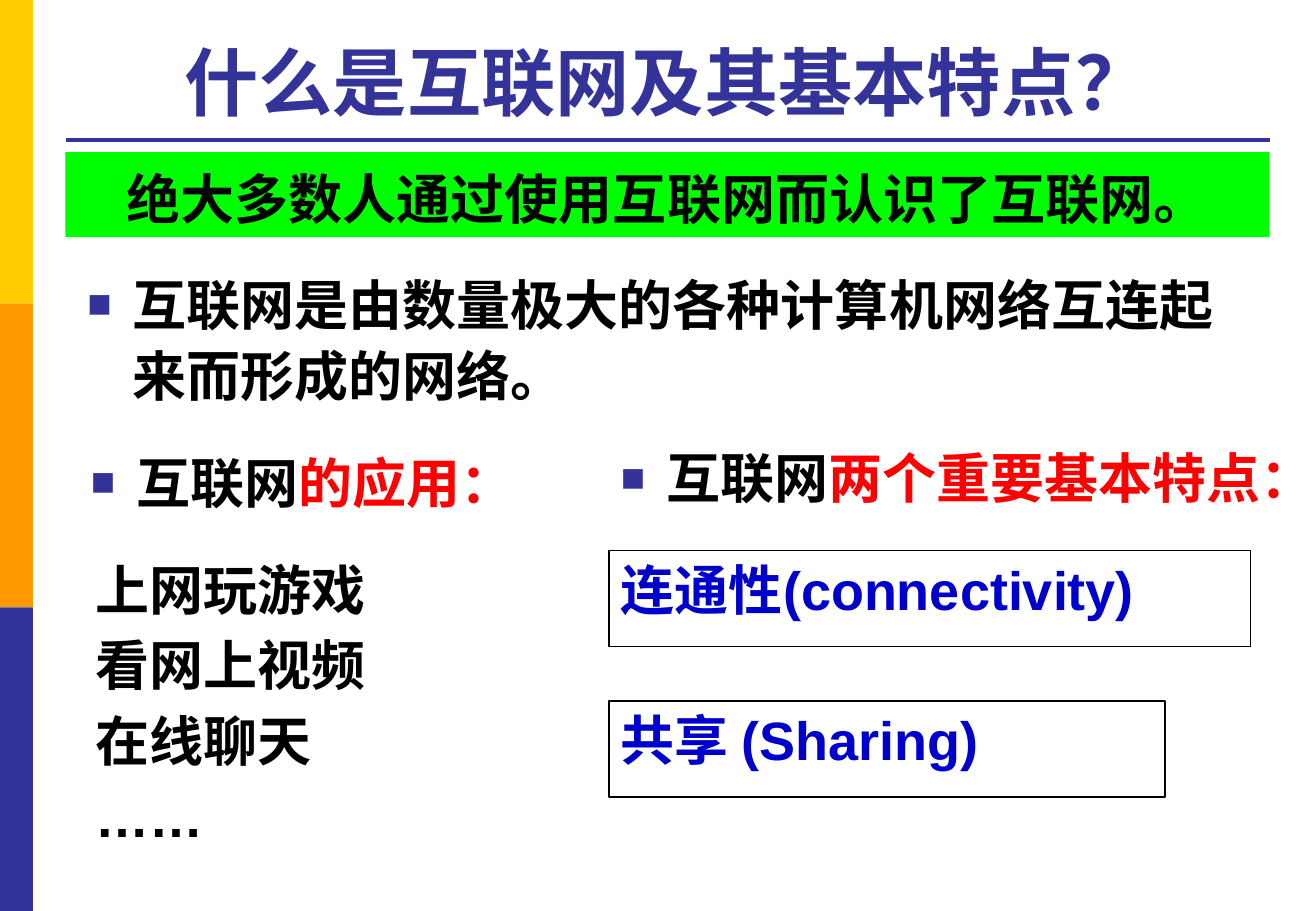
"""Build a slide on what the Internet is and its basic features."""
from lxml.etree import SubElement
from pptx import Presentation
from pptx.dml.color import RGBColor
from pptx.enum.shapes import MSO_CONNECTOR, MSO_SHAPE
from pptx.enum.text import MSO_ANCHOR, MSO_AUTO_SIZE, PP_ALIGN
from pptx.oxml.ns import qn
from pptx.util import Cm, Pt

FONT = "Arial"
BLACK, RED, BLUE, INDIGO, GREEN = "000000", "FF0000", "0000CC", "333399", "00FF00"

STRIPES = ["FFCC00", "FF9900", INDIGO]
TITLE = [("什么是互联网及其基本特点？", INDIGO)]
BANNER = [("绝大多数人通过使用互联网而认识了互联网。", BLACK)]
DEFINITION = [("互联网是由数量极大的各种计算机网络互连起来而形成的网络。", BLACK)]
HEADINGS = [
    ((1.65, 9.14, 14.78, 1.93), [("互联网", BLACK), ("的应用：", RED)]),
    ((12.73, 9.04, 14.78, 1.93), [("互联网", BLACK), ("两个重要基本特点：", RED)]),
]
USES = ["上网玩游戏", "看网上视频", "在线聊天", "……"]
FEATURES = [("连通性(connectivity)", 13.41), ("共享 (Sharing)", 11.63)]

SLIDE_WIDTH, SLIDE_HEIGHT = 27.51, 19.05
STRIPE_WIDTH = 0.69
MARGIN, CONTENT_WIDTH = 1.37, 25.17
RULE_TOP = 2.92
LIST_TOP = 11.51
FEATURE_LEFT, FEATURE_HEIGHT, FEATURE_STEP = 12.73, 2.01, 3.15
BULLET_INDENT = 0.95


def color(value):
    return RGBColor.from_string(value)


def place(shape, box):
    shape.left, shape.top, shape.width, shape.height = map(Cm, box)


def add_box(slide, box, fill=None, line=None):
    shape = slide.shapes.add_shape(MSO_SHAPE.RECTANGLE, *map(Cm, box))
    shape.shadow.inherit = False
    if fill:
        shape.fill.solid()
        shape.fill.fore_color.rgb = color(fill)
    else:
        shape.fill.background()
    if line:
        shape.line.color.rgb = color(line)
        shape.line.width = Pt(1)
    else:
        shape.line.fill.background()
    return shape


def add_bullet(paragraph):
    properties = paragraph._p.get_or_add_pPr()
    properties.set("marL", str(Cm(BULLET_INDENT)))
    properties.set("indent", str(-Cm(BULLET_INDENT)))
    properties.set("hangingPunct", "1")
    bullet_color = SubElement(properties, qn("a:buClr"))
    SubElement(bullet_color, qn("a:srgbClr"), val=INDIGO)
    SubElement(properties, qn("a:buSzPct"), val="75000")
    SubElement(properties, qn("a:buFont"), typeface=FONT)
    SubElement(properties, qn("a:buChar"), char="■")


def write(shape, paragraphs, size=32, align=PP_ALIGN.LEFT, anchor=MSO_ANCHOR.TOP,
          spacing=1.0, bullet=False):
    frame = shape.text_frame
    frame.word_wrap = True
    frame.auto_size = MSO_AUTO_SIZE.NONE
    frame.vertical_anchor = anchor
    for index, runs in enumerate(paragraphs):
        paragraph = frame.add_paragraph() if index else frame.paragraphs[0]
        if bullet:
            add_bullet(paragraph)
        paragraph.alignment = align
        paragraph.line_spacing = spacing
        paragraph.space_before = Pt(size * 0.2 if index else 0)
        for text, run_color in runs:
            run = paragraph.add_run()
            run.text = text
            run.font.name = FONT
            run.font.size = Pt(size)
            run.font.bold = True
            run.font.color.rgb = color(run_color)


def add_rule(slide):
    rule = slide.shapes.add_connector(
        MSO_CONNECTOR.STRAIGHT, Cm(MARGIN), Cm(RULE_TOP),
        Cm(MARGIN + CONTENT_WIDTH), Cm(RULE_TOP))
    rule.line.color.rgb = color(INDIGO)
    rule.line.width = Pt(2.25)
    SubElement(rule._element.spPr, qn("a:effectLst"))


def main():
    presentation = Presentation()
    presentation.slide_width = Cm(SLIDE_WIDTH)
    presentation.slide_height = Cm(SLIDE_HEIGHT)
    slide = presentation.slides.add_slide(presentation.slide_layouts[1])

    stripe_height = SLIDE_HEIGHT / len(STRIPES)
    for index, fill in enumerate(STRIPES):
        add_box(slide, (0, index * stripe_height, STRIPE_WIDTH, stripe_height), fill)
    add_rule(slide)

    title, body = slide.placeholders
    place(title, (MARGIN, 0.53, CONTENT_WIDTH, 2.21))
    write(title, [TITLE], size=44, align=PP_ALIGN.CENTER, anchor=MSO_ANCHOR.BOTTOM)
    place(body, (1.57, 5.41, 24.82, 3.2))
    write(body, [DEFINITION], spacing=1.1, bullet=True)

    banner = add_box(slide, (MARGIN, 3.18, CONTENT_WIDTH, 1.78), GREEN)
    write(banner, [BANNER], align=PP_ALIGN.CENTER, anchor=MSO_ANCHOR.MIDDLE, spacing=1.1)

    for box, runs in HEADINGS:
        heading = slide.shapes.add_textbox(*map(Cm, box))
        write(heading, [runs], spacing=1.1, bullet=True)

    uses = slide.shapes.add_textbox(Cm(1.75), Cm(LIST_TOP), Cm(12.78), Cm(6.32))
    write(uses, [[(use, BLACK)] for use in USES])

    for index, (text, width) in enumerate(FEATURES):
        top = LIST_TOP + index * FEATURE_STEP
        feature = add_box(slide, (FEATURE_LEFT, top, width, FEATURE_HEIGHT), line=BLACK)
        write(feature, [[(text, BLUE)]])

    presentation.save("out.pptx")


if __name__ == "__main__":
    main()
